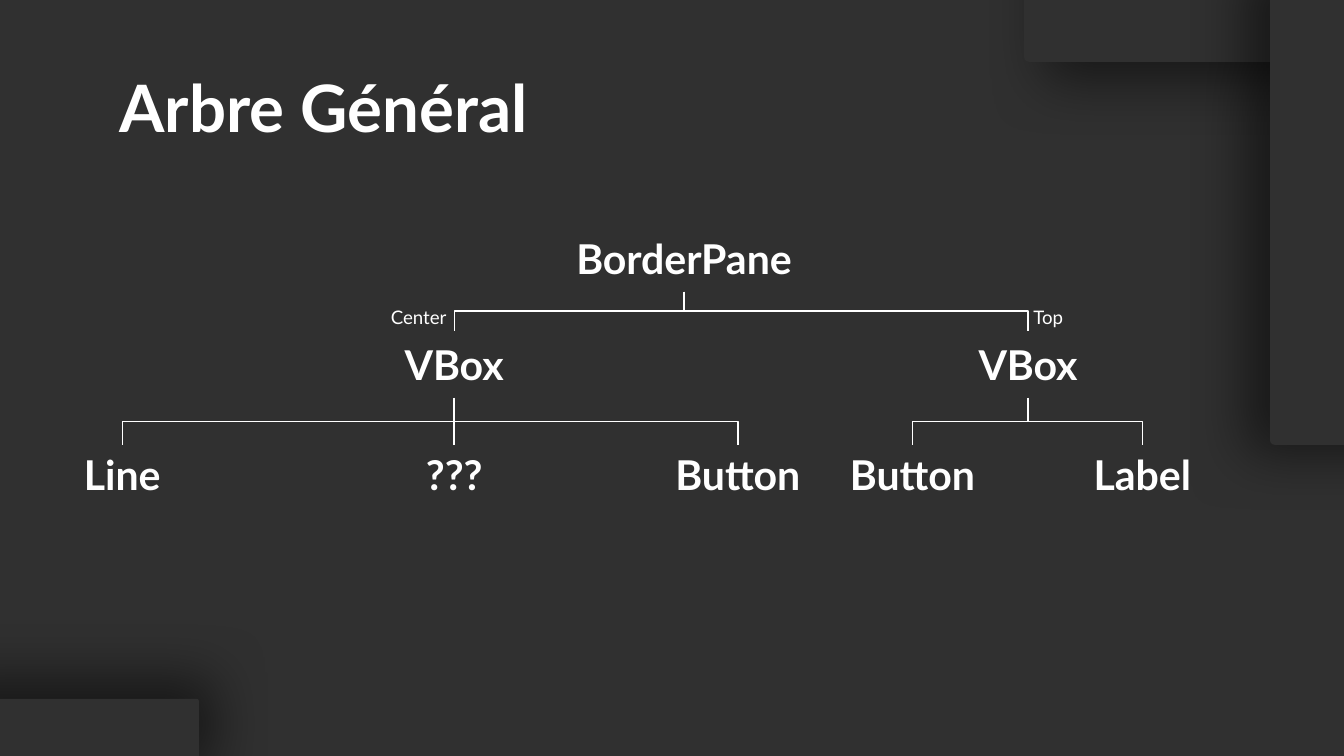
"""Build the "Arbre Général" slide: a three-level tree on a dark background."""
from lxml import etree
from pptx import Presentation
from pptx.dml.color import RGBColor
from pptx.enum.shapes import MSO_CONNECTOR, MSO_SHAPE
from pptx.enum.text import MSO_ANCHOR, PP_ALIGN
from pptx.oxml import parse_xml
from pptx.oxml.ns import nsdecls, qn
from pptx.util import Inches, Pt

ELBOW = MSO_CONNECTOR.ELBOW
ROUNDED = MSO_SHAPE.ROUNDED_RECTANGLE
TOP, MIDDLE, BOTTOM = MSO_ANCHOR.TOP, MSO_ANCHOR.MIDDLE, MSO_ANCHOR.BOTTOM
LEFT, CENTER = PP_ALIGN.LEFT, PP_ALIGN.CENTER

DARK = RGBColor(0x30, 0x30, 0x30)
WHITE = RGBColor(0xFF, 0xFF, 0xFF)
FONT = "Lato"
SLIDE_W = 10
SLIDE_H = SLIDE_W * 9 / 16
NODE_H = 0.5

TITLE = "Arbre Général"
PANELS = [
    ((7.62, -0.94, 2.51, 1.4), 45),
    ((9.45, -0.33, 1.36, 3.64), 160),
    ((-0.46, 5.2, 1.94, 0.69), 305),
]
LEVELS = [
    {"top": 1.67, "width": 2.18, "anchor": MIDDLE},
    {"top": 2.46, "width": 3, "anchor": MIDDLE},
    {"top": 3.31, "width": 1.6, "anchor": BOTTOM},
]
TREE = ("BorderPane", 5.09, [
    ("VBox", 3.38, [("Line", 0.91, []), ("???", 3.38, []), ("Button", 5.49, [])]),
    ("VBox", 7.65, [("Button", 6.79, []), ("Label", 8.5, [])]),
])
LABELS = [("Center", (2.81, 2.19, 0.92, 0.37)), ("Top", (7.59, 2.19, 0.58, 0.37))]


def add_text(s, text, box, size, bold=False, align=LEFT, anchor=TOP):
    tf = s.shapes.add_textbox(*map(Inches, box)).text_frame
    tf.word_wrap = True
    tf.vertical_anchor = anchor
    tf.margin_left = tf.margin_right = tf.margin_top = tf.margin_bottom = Inches(0.1)
    p = tf.paragraphs[0]
    p.alignment = align
    r = p.add_run()
    r.text = text
    r.font.name, r.font.size, r.font.bold = FONT, Pt(size), bold
    r.font.color.rgb = WHITE


def add_panel(s, box, direction):
    sp = s.shapes.add_shape(ROUNDED, *map(Inches, box))
    sp.adjustments[0] = 0.025
    sp.fill.solid()
    sp.fill.fore_color.rgb = DARK
    sp.line.fill.background()
    sp.shadow.inherit = False
    effects = sp.element.spPr.find(qn("a:effectLst"))
    effects.append(parse_xml(
        f'<a:outerShdw {nsdecls("a")} blurRad="{Pt(30.4)}" dist="{Pt(14.2)}" '
        f'dir="{direction * 60000}" algn="ctr" rotWithShape="0">'
        '<a:srgbClr val="000000"><a:alpha val="50000"/></a:srgbClr></a:outerShdw>'))


def add_branch(s, x1, y1, x2, y2):
    mid_x, mid_y = (x1 + x2) / 2, (y1 + y2) / 2
    half_w, half_h = (y2 - y1) / 2, abs(x2 - x1) / 2
    side = -1 if x2 < x1 else 1
    ends = (mid_x + side * half_w, mid_y - half_h, mid_x - side * half_w, mid_y + half_h)
    line = s.shapes.add_connector(ELBOW, *map(Inches, ends))
    line.line.color.rgb = WHITE
    line.line.width = Pt(0.75)
    spPr = line.element.spPr
    spPr.find(qn("a:xfrm")).set("rot", str((180 + side * 90) * 60000))
    etree.SubElement(spPr, qn("a:effectLst"))


def add_node(s, node, depth=0):
    text, x, children = node
    level = LEVELS[depth]
    box = (x - level["width"] / 2, level["top"], level["width"], NODE_H)
    add_text(s, text, box, 22, bold=True, align=CENTER, anchor=level["anchor"])
    for child in children:
        add_branch(s, x, level["top"] + NODE_H, child[1], LEVELS[depth + 1]["top"])
        add_node(s, child, depth + 1)


def main():
    prs = Presentation()
    prs.slide_width, prs.slide_height = Inches(SLIDE_W), Inches(SLIDE_H)
    s = prs.slides.add_slide(prs.slide_layouts[6])
    s.background.fill.solid()
    s.background.fill.fore_color.rgb = DARK
    for box, direction in PANELS:
        add_panel(s, box, direction)
    add_text(s, TITLE, (0.79, 0.4, 8.43, 0.7), 35, bold=True)
    add_node(s, TREE)
    for text, box in LABELS:
        add_text(s, text, box, 10)
    prs.save("out.pptx")


if __name__ == "__main__":
    main()
